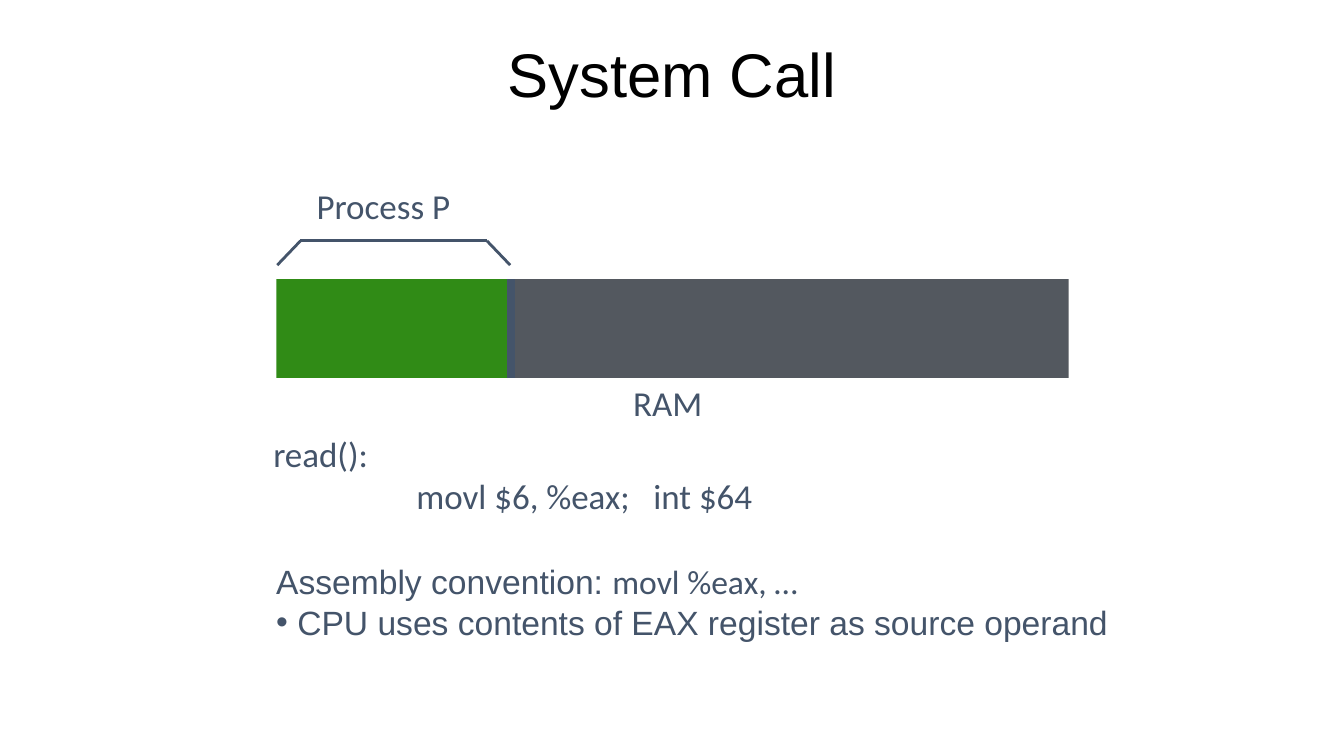
from pptx import Presentation
from pptx.dml.color import RGBColor
from pptx.enum.shapes import MSO_CONNECTOR, MSO_SHAPE
from pptx.enum.text import MSO_ANCHOR, PP_ALIGN
from pptx.oxml.ns import qn
from pptx.util import Inches, Pt

COLORS = {"text": "44546A", "process": "308B16", "ram": "53585F", "title": "000000"}

prs = Presentation()
prs.slide_width, prs.slide_height = Inches(13.33), Inches(7.5)
s = prs.slides.add_slide(prs.slide_layouts[5])


def add_run(p, text, font="Calibri", size=25, color="text"):
    r = p.add_run()
    r.text = text
    r.font.name, r.font.size = font, Pt(size)
    r.font.color.rgb = RGBColor.from_string(COLORS[color])


def add_line(x1, y1, x2, y2, width):
    c = s.shapes.add_connector(MSO_CONNECTOR.STRAIGHT, *map(Inches, (x1, y1, x2, y2)))
    c.line.color.rgb = RGBColor.from_string(COLORS["text"])
    c.line.width = Pt(width)
    c._element.spPr.append(c._element.makeelement(qn("a:effectLst"), {}))


# Title
title = s.shapes.title
title.left, title.top, title.width, title.height = map(Inches, (2.52, 0.07, 8.29, 1.4))
tf = title.text_frame
tf.vertical_anchor = MSO_ANCHOR.MIDDLE
p = tf.paragraphs[0]
p.alignment, p.line_spacing = PP_ALIGN.CENTER, 0.9
add_run(p, "System Call", "Arial", 44, "title")

# Memory bar: process part, rest of RAM, divider
bar_left, bar_top, bar_height = 2.74, 2.77, 0.98
split, bar_right = 5.09, 10.6
for left, right, color in ((bar_left, split, "process"), (split, bar_right, "ram")):
    part = s.shapes.add_shape(MSO_SHAPE.RECTANGLE, Inches(left), Inches(bar_top),
                              Inches(right - left), Inches(bar_height))
    part.shadow.inherit = False
    part.fill.solid()
    part.fill.fore_color.rgb = RGBColor.from_string(COLORS[color])
    part.line.fill.background()
add_line(5.07, bar_top + bar_height, 5.07, bar_top, 6)

# Bracket over the process part
bracket = [(2.75, 2.63), (2.98, 2.39), (4.83, 2.39), (5.06, 2.63)]
for start, end in zip(bracket, bracket[1:]):
    add_line(*start, *end, 2)

# Labels and code
for text, left, top, width in (
    ("Process P", 3.1, 1.79, 1.6),
    ("RAM", 6.24, 3.74, 0.81),
    ("read():", 2.67, 4.25, 1.11),
    ("movl $6, %eax;   int $64", 4.09, 4.67, 5.15),
):
    tf = s.shapes.add_textbox(*map(Inches, (left, top, width, 0.5))).text_frame
    tf.word_wrap = True
    tf.vertical_anchor = MSO_ANCHOR.MIDDLE
    tf.margin_left = tf.margin_right = tf.margin_top = tf.margin_bottom = Inches(0.04)
    add_run(tf.paragraphs[0], text)

# Assembly convention
tf = s.shapes.add_textbox(*map(Inches, (2.64, 5.52, 8.69, 0.91))).text_frame
tf.word_wrap = True
p = tf.paragraphs[0]
add_run(p, "Assembly convention: ", "Arial", 24)
add_run(p, "movl %eax, …", size=24)
p = tf.add_paragraph()
pPr = p._p.get_or_add_pPr()
pPr.set("marL", str(Inches(0.21)))
pPr.set("indent", str(-Inches(0.21)))
pPr.append(pPr.makeelement(qn("a:buFont"), {"typeface": "Arial"}))
pPr.append(pPr.makeelement(qn("a:buChar"), {"char": "•"}))
add_run(p, "CPU uses contents of EAX register as source operand", "Arial", 24)

prs.save("out.pptx")
